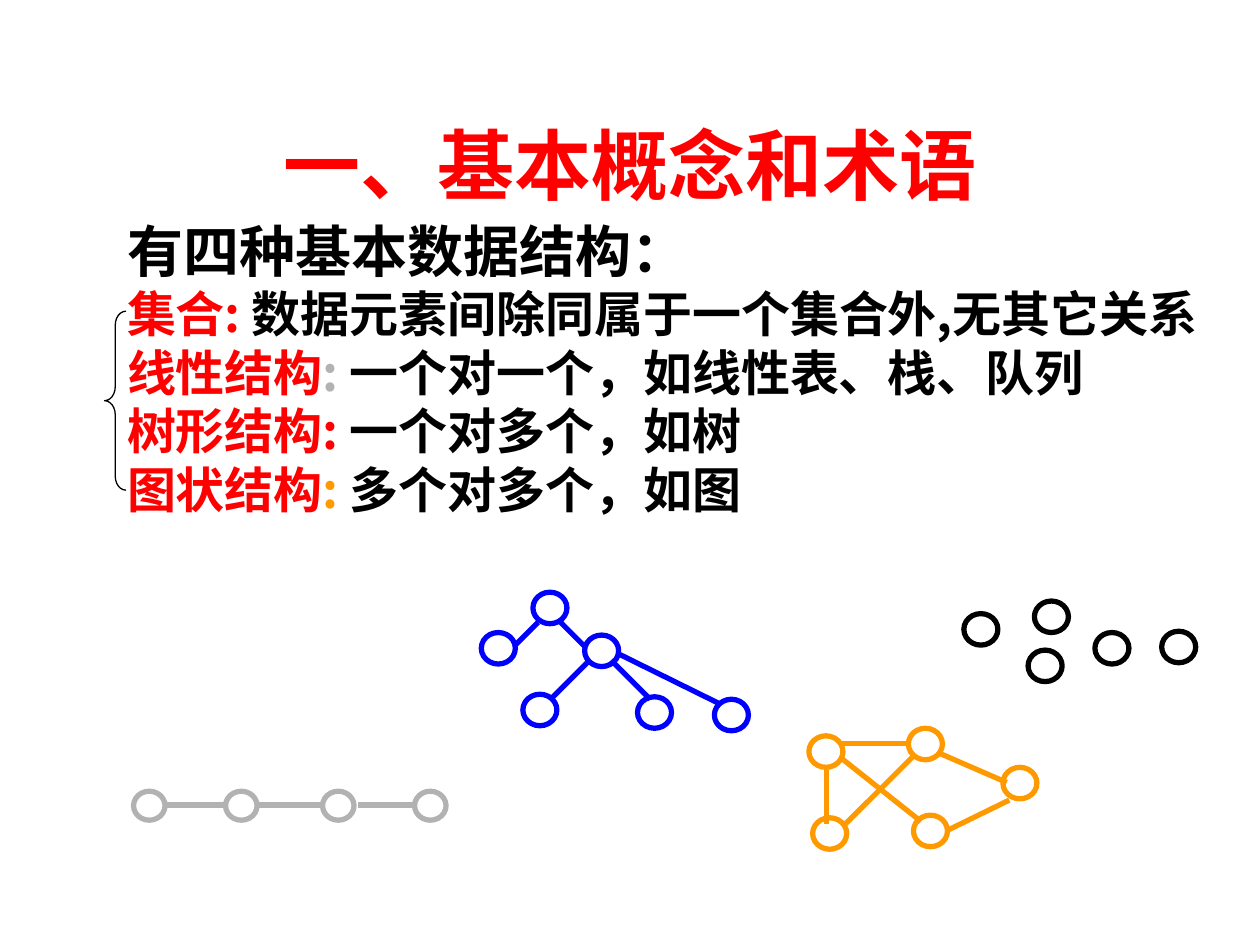
from dataclasses import dataclass

from lxml.etree import SubElement
from pptx import Presentation
from pptx.dml.color import RGBColor
from pptx.enum.shapes import MSO_CONNECTOR, MSO_SHAPE
from pptx.enum.text import MSO_ANCHOR, PP_ALIGN
from pptx.oxml.ns import qn
from pptx.util import Inches, Pt

SANS, SERIF = "Noto Sans CJK SC", "Times New Roman"
BLACK, RED, GRAY, BLUE, ORANGE = "000000", "FF0000", "B2B2B2", "0000FF", "FF9900"

Point = tuple[float, float]
Piece = tuple[str, str]


@dataclass
class Graph:
    color: str
    nodes: list[Point]
    edges: list[tuple[Point, Point]]
    node_size: Point = (0.27, 0.25)


@dataclass
class Line:
    pieces: list[Piece]
    size: float = 28
    spacing: float = 33.5
    latin: str = SANS


GRAPHS = [
    Graph(BLACK, [(7.65, 4.87), (8.21, 4.77), (8.16, 5.16), (8.69, 5.02), (9.22, 5.01)], []),
    Graph(
        GRAY,
        [(x, 6.28) for x in (1.06, 1.79, 2.56, 3.29)],
        [((a, 6.39), (b, 6.39)) for a, b in ((1.31, 1.78), (2.03, 2.57), (2.84, 3.28))],
        (0.25, 0.23),
    ),
    Graph(
        BLUE,
        [(4.23, 4.7), (3.82, 5.02), (4.64, 5.04), (4.15, 5.51), (5.06, 5.53), (5.67, 5.55)],
        [
            ((4.27, 4.94), (4.08, 5.13)),
            ((4.66, 5.26), (4.37, 5.55)),
            ((4.43, 4.92), (4.64, 5.13)),
            ((4.85, 5.24), (5.16, 5.55)),
            ((4.91, 5.19), (5.72, 5.59)),
        ],
    ),
    Graph(
        ORANGE,
        [(7.21, 5.78), (6.45, 6.49), (7.25, 6.47), (7.96, 6.09), (6.42, 5.84)],
        [
            ((6.56, 6.11), (6.56, 6.54)),
            ((6.68, 6.02), (7.31, 6.52)),
            ((7.46, 5.98), (7.99, 6.21)),
            ((7.25, 6.0), (6.69, 6.56)),
            ((8.01, 6.35), (7.52, 6.59)),
            ((6.68, 5.9), (7.21, 5.9)),
        ],
    ),
]

DEFINITIONS = [
    Line([("有四种基本数据结构：", BLACK)], 32, 42, SERIF),
    Line([("集合: ", RED), ("数据元素间除同属于一个集合外,无其它关系", BLACK)]),
    Line([("线性结构", RED), (": ", GRAY), ("一个对一个，如线性表、栈、队列", BLACK)]),
    Line([("树形结构: ", RED), ("一个对多个，如树", BLACK)]),
    Line([("图状结构", RED), (": ", ORANGE), ("多个对多个，如图", BLACK)]),
]


def rgb(color: str) -> RGBColor:
    return RGBColor.from_string(color)


def add_run(paragraph, text: str, color: str, size: float, latin: str) -> None:
    run = paragraph.add_run()
    run.text = text
    font = run.font
    font.size, font.bold, font.name = Pt(size), True, latin
    font.color.rgb = rgb(color)
    SubElement(font._element, qn("a:ea"), typeface=SANS)


def add_text_frame(slide, left: float, top: float, width: float, height: float):
    box = slide.shapes.add_textbox(Inches(left), Inches(top), Inches(width), Inches(height))
    box.text_frame.word_wrap = True
    return box.text_frame


def add_title(slide) -> None:
    frame = add_text_frame(slide, 0.75, 0.67, 8.5, 1.25)
    frame.vertical_anchor = MSO_ANCHOR.MIDDLE
    heading = frame.paragraphs[0]
    heading.alignment = PP_ALIGN.CENTER
    add_run(heading, "一、基本概念和术语", RED, 44, SANS)


def add_definitions(slide, lines: list[Line]) -> None:
    frame = add_text_frame(slide, 0.91, 1.62, 9.09, 2.97)
    for index, line in enumerate(lines):
        paragraph = frame.add_paragraph() if index else frame.paragraphs[0]
        paragraph.line_spacing = Pt(line.spacing)
        for text, color in line.pieces:
            add_run(paragraph, text, color, line.size, line.latin)


def add_outline(slide, preset, at: Point, size: Point, color: str, weight: float):
    """Add an unfilled preset shape."""
    shape = slide.shapes.add_shape(preset, *map(Inches, at + size))
    shape.shadow.inherit = False
    shape.fill.background()
    shape.line.color.rgb = rgb(color)
    shape.line.width = Pt(weight)
    return shape


def add_edge(slide, start: Point, end: Point, color: str) -> None:
    edge = slide.shapes.add_connector(MSO_CONNECTOR.STRAIGHT, *map(Inches, start + end))
    edge.line.color.rgb = rgb(color)
    edge.line.width = Pt(3)
    SubElement(edge._element.spPr, qn("a:effectLst"))


def add_graph(slide, graph: Graph) -> None:
    for node in graph.nodes:
        add_outline(slide, MSO_SHAPE.OVAL, node, graph.node_size, graph.color, 3)
    for start, end in graph.edges:
        add_edge(slide, start, end, graph.color)


def main() -> None:
    deck = Presentation()
    deck.slide_width, deck.slide_height = Inches(10), Inches(7.5)
    slide = deck.slides.add_slide(deck.slide_layouts[6])

    add_definitions(slide, DEFINITIONS)
    brace = add_outline(slide, MSO_SHAPE.LEFT_BRACE, (0.83, 2.47), (0.17, 1.42), BLACK, 0.75)
    brace.adjustments[0] = 0.65
    for graph in GRAPHS:
        add_graph(slide, graph)
    add_title(slide)

    deck.save("out.pptx")


if __name__ == "__main__":
    main()
